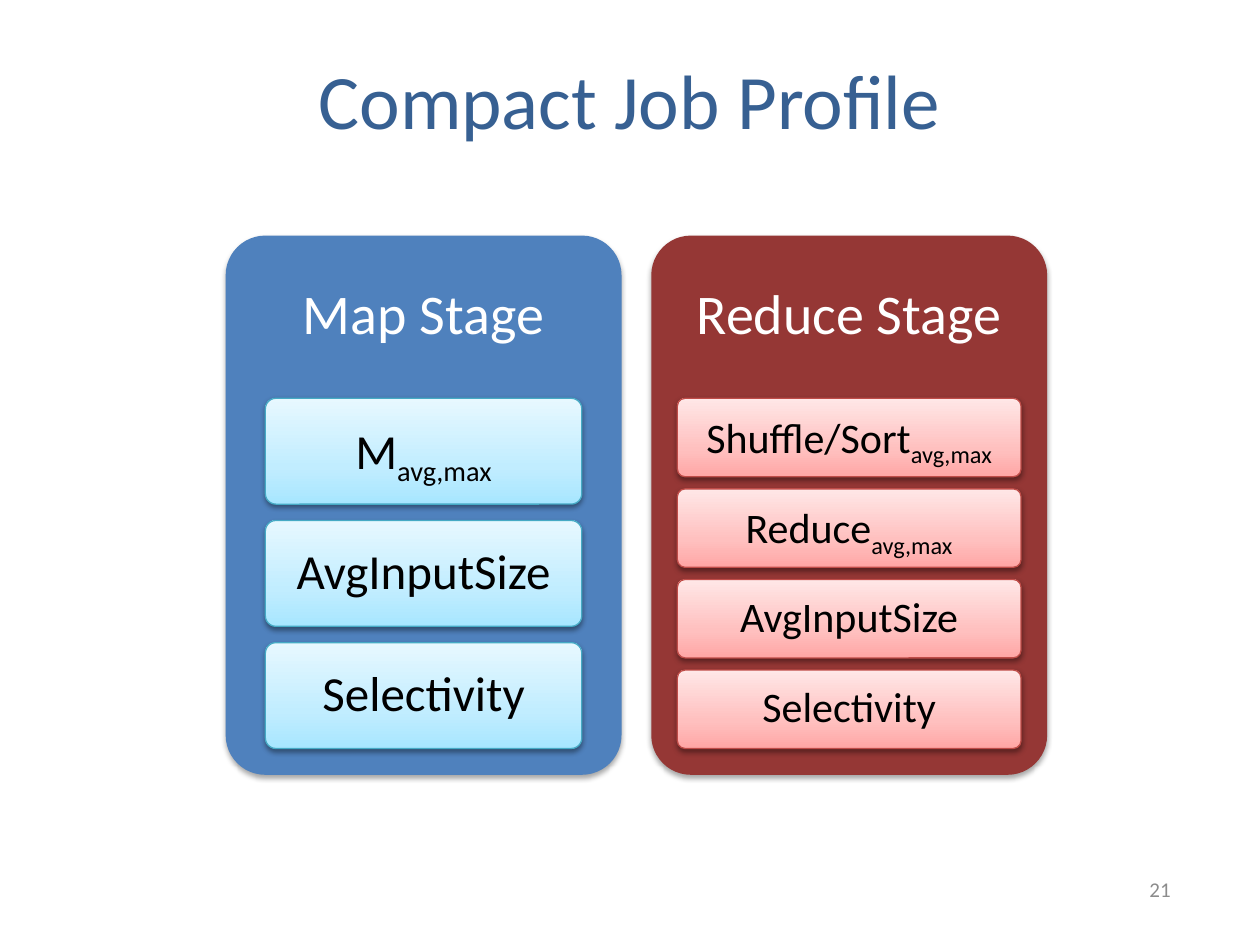
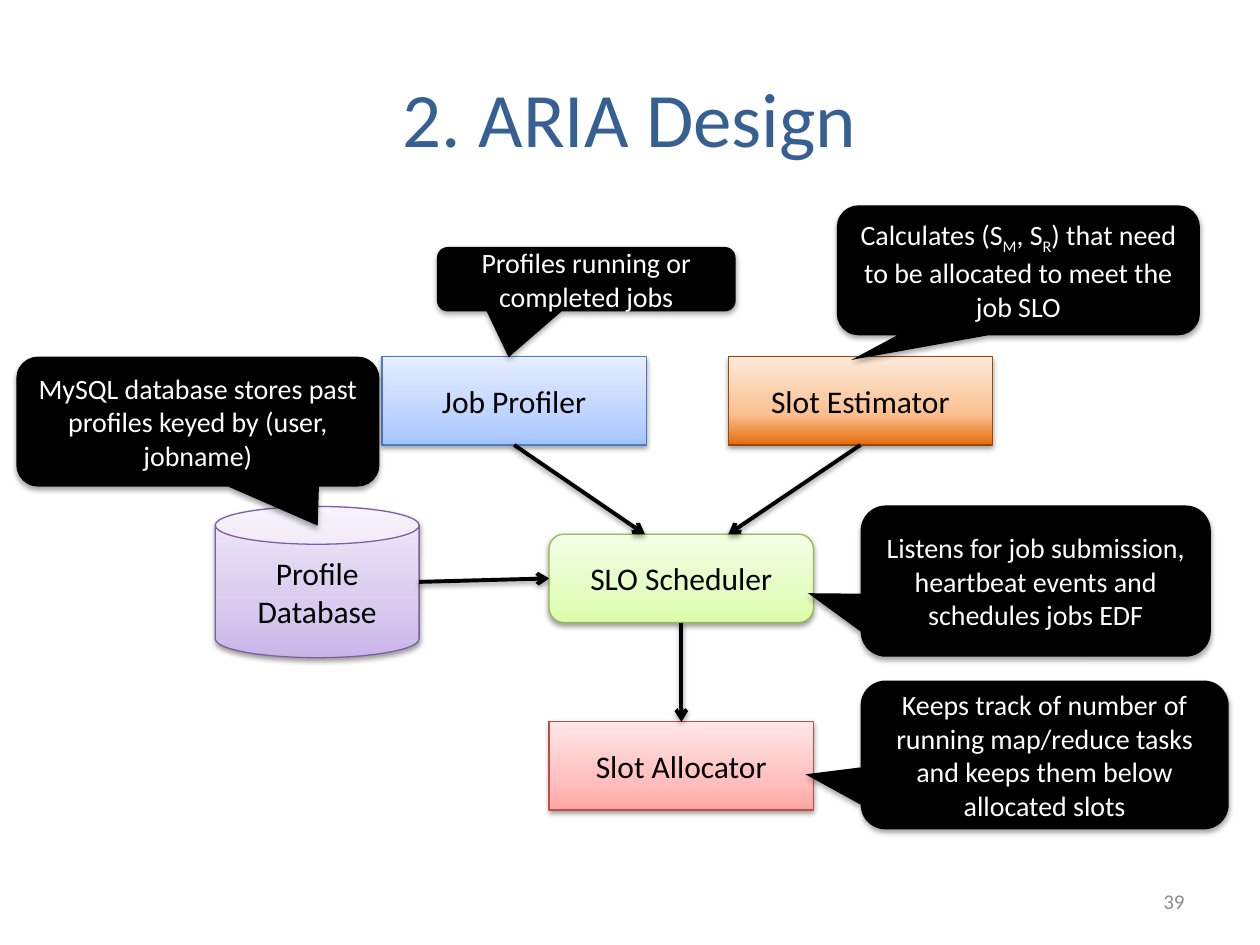
from copy import deepcopy

from pptx import Presentation
from pptx.dml.color import RGBColor
from pptx.enum.shapes import MSO_CONNECTOR, MSO_SHAPE
from pptx.enum.text import MSO_ANCHOR, PP_ALIGN
from pptx.oxml import parse_xml
from pptx.oxml.ns import nsdecls, qn
from pptx.util import Cm, Pt

COLORS = {"title": "376092", "number": "8C8C8C", "white": "FFFFFF", "black": "000000",
          "map": "4F81BD", "reduce": "953735"}
# Outline, then gradient from bottom to top
TINTS = {
    "aqua": ("46AAC5", "A7E6FF", "C1EDFF", "E7F8FF"),
    "red": ("BF4C48", "FFA6A5", "FFC0BF", "FFE7E7"),
    "blue": ("4B7EBC", "A4C4FF", "BFD4FF", "E6EEFF"),
    "orange": ("984807", "E46C0A", "FAC090", "FDEADA"),
    "purple": ("7D60A0", "C9B5E8", "D8CBEE", "F0EAF9"),
    "green": ("98B955", "DAFDA7", "E4FCC2", "F5FFE7"),
}
GRADIENT_POSITIONS = (0, 0.35, 1)
TOP, LEFT, BOTTOM = 0, 1, 2


def rgb(name):
    return RGBColor.from_string(COLORS.get(name, name))


class Deck:
    font = "Calibri"

    def __init__(self):
        self.presentation = Presentation()
        self.presentation.slide_width = Cm(25.4)
        self.presentation.slide_height = Cm(19.05)
        self.slide = None

    def new_slide(self, title, title_area, number, number_area):
        self.slide = self.presentation.slides.add_slide(self.presentation.slide_layouts[6])
        self.label(title_area, title, 44, "title")
        self.label(number_area, number, 12, "number", align=PP_ALIGN.RIGHT)

    def set_text(self, shape, parts, size, color, align=PP_ALIGN.CENTER, spacing=1.0, inset=None):
        """Fill a shape with text; every second part of a tuple is a subscript."""
        frame = shape.text_frame
        frame.word_wrap = True
        frame.vertical_anchor = MSO_ANCHOR.MIDDLE
        if inset:
            frame.margin_left = frame.margin_right = Cm(inset[0])
            frame.margin_top = frame.margin_bottom = Cm(inset[1])
        paragraph = frame.paragraphs[0]
        paragraph.alignment = align
        paragraph.line_spacing = spacing
        for index, part in enumerate((parts,) if isinstance(parts, str) else parts):
            run = paragraph.add_run()
            run.text = part
            run.font.name = self.font
            run.font.size = Pt(size)
            run.font.color.rgb = rgb(color)
            if index % 2:
                run._r.get_or_add_rPr().set("baseline", "-25000")

    def label(self, area, parts, size, color, **style):
        box = self.slide.shapes.add_textbox(*map(Cm, area))
        self.set_text(box, parts, size, color, **style)

    def cast_shadow(self, properties, opacity, distance):
        effects = properties.find(qn("a:effectLst"))
        if effects is None:
            effects = parse_xml(f"<a:effectLst {nsdecls('a')}/>")
            properties.append(effects)
        effects.append(parse_xml(
            f'<a:outerShdw {nsdecls("a")} blurRad="{Pt(3.1)}" dist="{Pt(distance)}" '
            f'dir="5400000" rotWithShape="0"><a:srgbClr val="{COLORS["black"]}">'
            f'<a:alpha val="{opacity * 1000}"/></a:srgbClr></a:outerShdw>'))

    def add_preset(self, kind, area, adjustments, opacity, distance):
        shape = self.slide.shapes.add_shape(kind, *map(Cm, area))
        for index, value in enumerate(adjustments):
            shape.adjustments[index] = value
        shape.shadow.inherit = False
        self.cast_shadow(shape._element.spPr, opacity, distance)
        return shape

    def solid(self, kind, area, color, adjustments):
        shape = self.add_preset(kind, area, adjustments, 35, 1.8)
        shape.fill.solid()
        shape.fill.fore_color.rgb = rgb(color)
        shape.line.fill.background()
        return shape

    def tinted(self, kind, area, tint, parts, size=18, adjustments=(), **style):
        shape = self.add_preset(kind, area, adjustments, 38, 1.6)
        outline, *shades = TINTS[tint]
        shape.fill.gradient()
        shape.fill.gradient_angle = 90
        stop_list = shape._element.spPr.find(".//" + qn("a:gsLst"))
        stop_list.append(deepcopy(stop_list[0]))
        for stop, position, shade in zip(shape.fill.gradient_stops, GRADIENT_POSITIONS, shades):
            stop.position = position
            stop.color.rgb = rgb(shade)
        shape.line.color.rgb = rgb(outline)
        shape.line.width = Pt(0.75)
        self.set_text(shape, parts, size, "black", **style)
        return shape

    def callout(self, area, tip, parts):
        bubble = self.solid(MSO_SHAPE.ROUNDED_RECTANGULAR_CALLOUT, area, "black", (*tip, 0.167))
        self.set_text(bubble, parts, 16, "white")

    def arrow(self, start=(0, 0), end=(0, 0), leave=None, enter=None):
        """Join points; leave and enter, each a (shape, side), replace a point."""
        line = self.slide.shapes.add_connector(MSO_CONNECTOR.STRAIGHT, *map(Cm, (*start, *end)))
        if leave:
            line.begin_connect(*leave)
        if enter:
            line.end_connect(*enter)
        line.line.color.rgb = rgb("black")
        line.line.width = Pt(2.25)
        properties = line._element.spPr
        properties.find(qn("a:ln")).append(
            parse_xml(f'<a:tailEnd {nsdecls("a")} type="arrow"/>'))
        self.cast_shadow(properties, 38, 1.6)

    def stage(self, left, name, color, tint, metrics, metric_width, size, inset):
        """Draw a panel with a heading and evenly stacked metrics."""
        top, width = 4.75, 7.98
        stack_top, stack_height, gap_ratio = 8.03, 7.06, 2 / 13
        self.solid(MSO_SHAPE.ROUNDED_RECTANGLE, (left, top, width, 10.87), color, (0.1,))
        self.label((left, top, width, 3.25), name, 32, "white", spacing=0.9, inset=(0.33, 0.33))
        count = len(metrics)
        height = stack_height / (count + (count - 1) * gap_ratio)
        for row, metric in enumerate(metrics):
            area = (left + (width - metric_width) / 2,
                    stack_top + row * height * (1 + gap_ratio), metric_width, height)
            self.tinted(MSO_SHAPE.ROUNDED_RECTANGLE, area, tint, metric, size, (0.1,),
                        spacing=0.9, inset=inset)


def build_job_profile(deck):
    deck.new_slide("Compact Job Profile", (1.52, 0.3, 22.35, 3.4),
                   "21", (21.11, 17.42, 2.74, 1.02))
    shared = ["AvgInputSize", "Selectivity"]
    deck.stage(4.55, "Map Stage", "map", "aqua",
               [("M", "avg,max"), *shared], 6.38, 28, (0.2, 0.15))
    deck.stage(13.13, "Reduce Stage", "reduce", "red",
               [("Shuffle/Sort", "avg,max"), ("Reduce", "avg,max"), *shared],
               6.93, 24, (0.18, 0.13))


def build_aria_design(deck):
    deck.new_slide("2. ARIA Design", (1.27, 0.76, 22.86, 3.18),
                   "39", (18.21, 17.65, 5.92, 1.02))
    size = (5.33, 1.78)
    upper, middle, center_left = 7.19, 10.77, 11.07
    profiler = deck.tinted(MSO_SHAPE.RECTANGLE, (7.7, upper, *size), "blue", "Job Profiler")
    estimator = deck.tinted(MSO_SHAPE.RECTANGLE, (14.68, upper, *size),
                            "orange", "Slot Estimator")
    allocator = deck.tinted(MSO_SHAPE.RECTANGLE, (center_left, 14.55, *size),
                            "red", "Slot Allocator")
    deck.tinted(MSO_SHAPE.CAN, (4.34, 10.21, 4.11, 3.05), "purple", "Profile Database")
    scheduler = deck.tinted(MSO_SHAPE.ROUNDED_RECTANGLE, (center_left, middle, *size),
                            "green", "SLO Scheduler")

    deck.arrow(leave=(profiler, BOTTOM), end=(13, middle))
    deck.arrow(leave=(estimator, BOTTOM), end=(14.68, middle))
    deck.arrow(start=(8.45, 11.73), enter=(scheduler, LEFT))
    deck.arrow(leave=(scheduler, BOTTOM), enter=(allocator, TOP))

    deck.callout((8.81, 4.98, 6.02, 1.3), (-0.26, 1.21), "Profiles running or completed jobs")
    deck.callout((0.33, upper, 7.32, 2.62), (0.33, 0.8),
                 "MySQL database stores past profiles keyed by (user, jobname)")
    deck.callout((16.87, 4.14, 7.32, 2.62), (-0.46, 0.69),
                 ("Calculates (S", "M", ", S", "R",
                  ") that need to be allocated to meet the job SLO"))
    deck.callout((17.35, 10.19, 7.06, 3.05), (-0.65, 0.08),
                 "Listens for job submission, heartbeat events and schedules jobs EDF")
    deck.callout((17.35, 13.72, 7.42, 3), (-0.65, 0.13),
                 "Keeps track of number of running map/reduce tasks "
                 "and keeps them below allocated slots")


def main():
    deck = Deck()
    build_job_profile(deck)
    build_aria_design(deck)
    deck.presentation.save("out.pptx")


if __name__ == "__main__":
    main()
